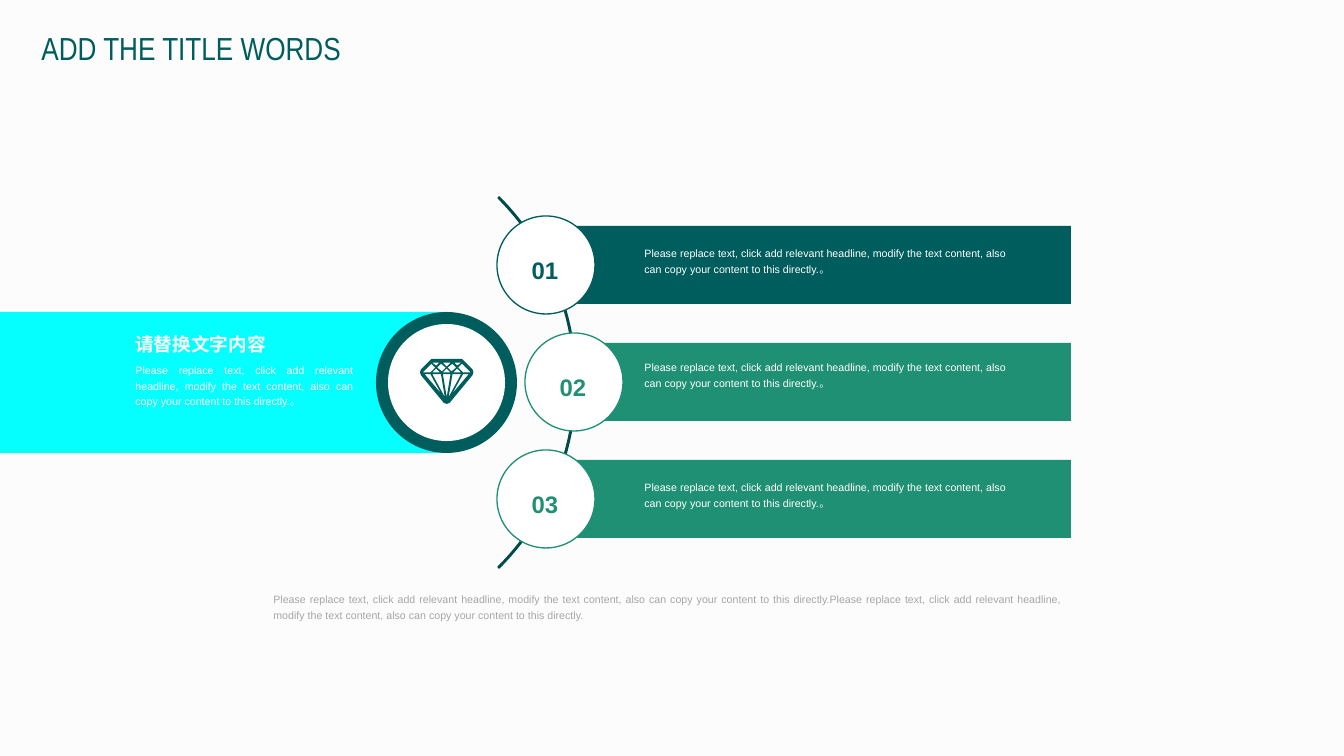
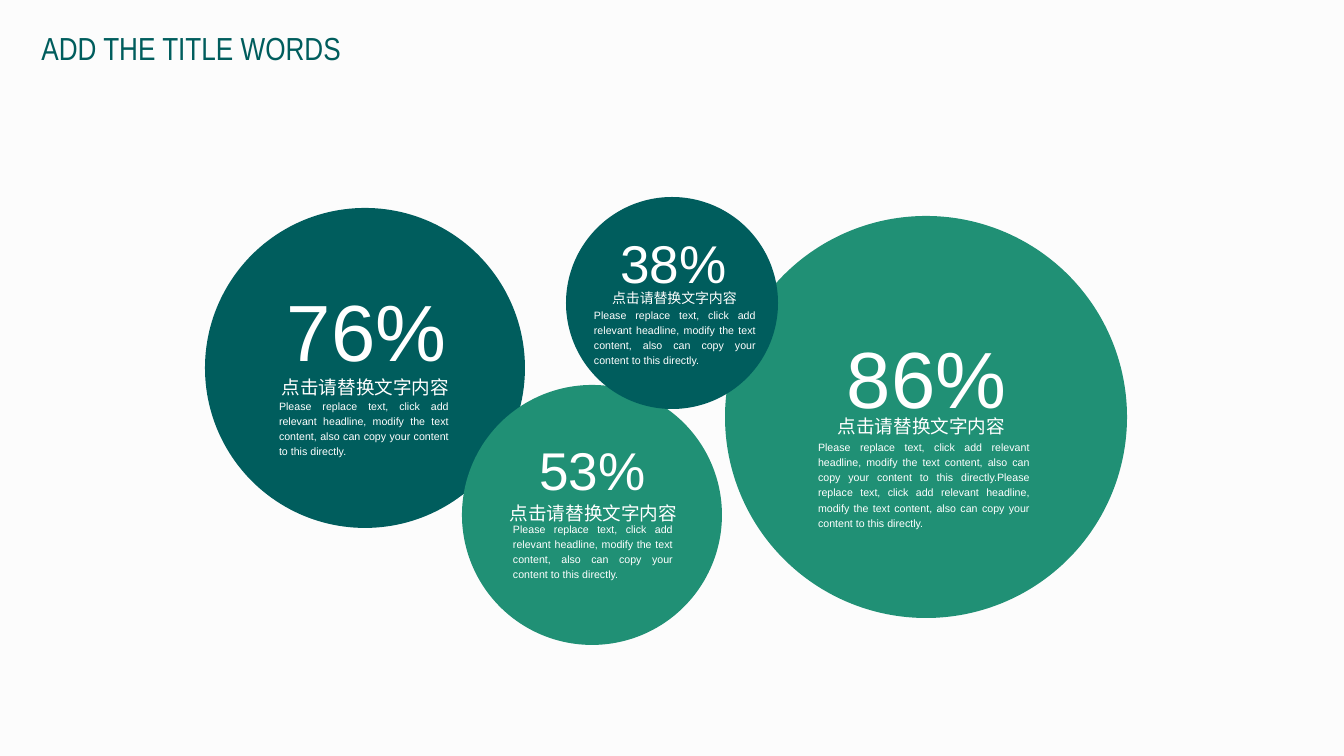
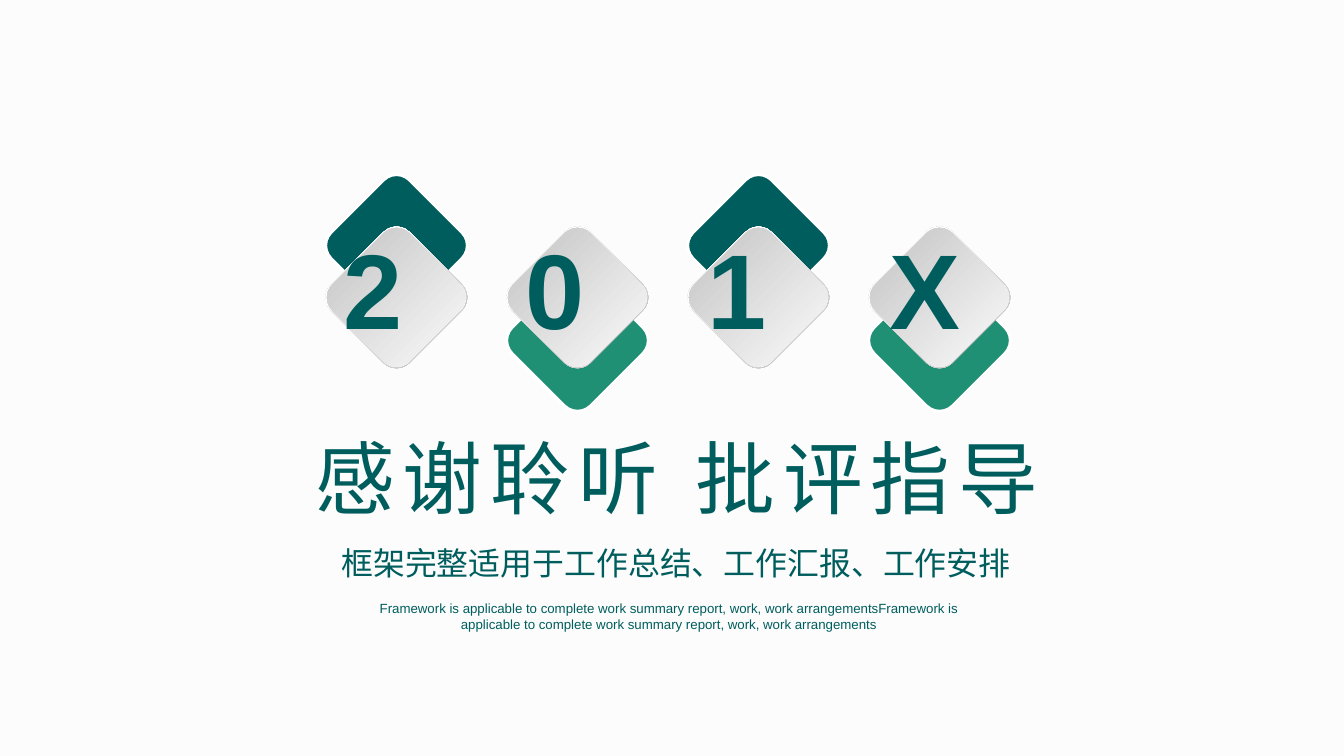
from lxml.etree import SubElement
from pptx import Presentation
from pptx.dml.color import RGBColor
from pptx.enum.shapes import MSO_SHAPE
from pptx.enum.text import MSO_ANCHOR, MSO_AUTO_SIZE, PP_ALIGN
from pptx.oxml.ns import qn
from pptx.util import Pt

PX = 9565
HUNDREDTH_INCH = 9144
TEAL, GREEN, DARK = "005D5D", "209075", "004A4A"
CYAN, WHITE, GREY, SILVER, PAPER = "05FFFF", "FFFFFF", "A6A6A6", "BFBFBF", "FCFCFC"

SENTENCE = ("Please replace text, click add relevant headline, modify the text "
            "content, also can copy your content to this directly.")
BUBBLE_LABEL = "点击请替换文字内容"
FRAMEWORK = ("Framework is applicable to complete work summary report, work, "
             "work arrangements")

LEFT, CENTER, JUSTIFY = PP_ALIGN.LEFT, PP_ALIGN.CENTER, PP_ALIGN.JUSTIFY
TITLE = {"size": 24, "name": "Arial Narrow", "spacing": 1.5}
BODY = {"size": 8, "color": WHITE, "align": JUSTIFY, "spacing": 1.2}
CLOSING = {"align": CENTER, "before": 20}
NO_MARGINS = dict.fromkeys(
    ("margin_left", "margin_top", "margin_right", "margin_bottom"), 0)


def px(*lengths):
    return [round(length * PX) for length in lengths]


def rgb(color):
    return RGBColor.from_string(color)


def set_values(target, values):
    for name, value in values.items():
        setattr(target, name, value)


def paint(shape, fill, line=None, width=1):
    shape.shadow.inherit = False
    if fill:
        shape.fill.solid()
        shape.fill.fore_color.rgb = rgb(fill)
    if line:
        shape.line.color.rgb = rgb(line)
        shape.line.width = Pt(width)
    else:
        shape.line.fill.background()


def add_figure(slide, preset, box, fill=None, line=None, width=1, rotation=0):
    shape = slide.shapes.add_shape(preset, *px(*box))
    shape.rotation = rotation
    paint(shape, fill, line, width)
    return shape


def add_circle(slide, left, top, size, fill, line=None):
    return add_figure(slide, MSO_SHAPE.OVAL, (left, top, size, size), fill, line)


def add_text(slide, box, text, size, color=TEAL, name="Arial", bold=False,
             align=LEFT, spacing=None, before=None, tracking=None, frame=None):
    shape = slide.shapes.add_textbox(*px(*box))
    set_values(shape.text_frame, {"word_wrap": True,
                                  "auto_size": MSO_AUTO_SIZE.SHAPE_TO_FIT_TEXT,
                                  **(frame or {})})
    paragraph = shape.text_frame.paragraphs[0]
    set_values(paragraph, {"alignment": align, "line_spacing": spacing})
    if before:
        space = SubElement(paragraph._p.get_or_add_pPr(), qn("a:spcBef"))
        SubElement(space, qn("a:spcPct")).set("val", str(before * 1000))
    run = paragraph.add_run()
    run.text = text
    set_values(run.font, {"size": Pt(size), "name": name, "bold": bold})
    run.font.color.rgb = rgb(color)
    properties = run._r.get_or_add_rPr()
    SubElement(properties, qn("a:ea")).set("typeface", "Arial")
    if tracking:
        properties.set("spc", str(tracking * 100))
    return shape


def add_title(slide):
    add_text(slide, (32, 5, 338, 60), "ADD THE TITLE WORDS", **TITLE)


def add_gem(slide, left, top):
    outline = [(12, 0), (44, 0), (46, 2), (55, 11), (56, 14), (55, 17), (31, 46),
               (28, 47), (25, 46), (1, 17), (0, 14), (1, 11), (10, 2)]
    left_facets = [
        [(12, 5), (16, 9), (11, 14), (3, 14)],
        [(22, 36), (5, 16), (11, 16)],
        [(22, 16), (26, 40), (13, 16)],
        [(17, 10), (21, 14), (13, 14)],
        [(17, 7), (13, 4), (20, 4)],
        [(23, 13), (18, 9), (22, 5), (27, 9)],
    ]
    middle_facets = [
        [(28, 8), (24, 4), (32, 4)],
        [(32, 16), (28, 40), (24, 16)],
        [(32, 14), (24, 14), (28, 10)],
    ]
    right_facets = [[(56 - x, y) for x, y in facet] for facet in left_facets]
    builder = slide.shapes.build_freeform(*outline[0], scale=HUNDREDTH_INCH)
    builder.add_line_segments(outline[1:], close=True)
    for facet in left_facets + middle_facets + right_facets:
        builder.move_to(*facet[0])
        builder.add_line_segments(facet[1:], close=True)
    paint(builder.convert_to_shape(*px(left, top)), TEAL)


def add_banner(slide):
    add_figure(slide, MSO_SHAPE.RECTANGLE, (0, 312, 444, 141), CYAN)
    add_circle(slide, 376, 312, 141, TEAL)
    add_circle(slide, 388, 324, 117, WHITE)
    add_gem(slide, 420, 359)
    add_text(slide, (126, 324, 151, 36), "请替换文字内容", 14, WHITE, bold=True,
             spacing=1.2, frame={"word_wrap": False})
    add_text(slide, (126, 357, 237, 54), SENTENCE + "。", **BODY)


def add_step(slide, index, circle_left, text_top, color):
    top = 216 + 117 * index
    middle = circle_left + 49
    add_figure(slide, MSO_SHAPE.RECTANGLE, (middle, top + 10, 1071 - middle, 78), color)
    add_circle(slide, circle_left, top, 98, WHITE, color)
    add_text(slide, (circle_left + 25, top + 29, 46, 44), f"{index + 1:02}", 18, color,
             bold=True, align=CENTER, spacing=1.2, frame={"word_wrap": False})
    add_text(slide, (635, text_top, 381, 40), SENTENCE + "。", **BODY)


def add_bubble(slide, circle, color, percent, percent_box, percent_size,
               label_box, label_size, body_box, body):
    add_circle(slide, *circle, color)
    add_text(slide, body_box, body, **BODY, frame=NO_MARGINS)
    for box, text, size in ((percent_box, percent, percent_size),
                            (label_box, BUBBLE_LABEL, label_size)):
        add_text(slide, box, text, size, WHITE, align=CENTER, spacing=1.2,
                 frame={**NO_MARGINS, "word_wrap": False})


def fill_radial(shape, stops):
    shape.fill.gradient()
    for stop, (position, color) in zip(shape.fill.gradient_stops, stops):
        stop.position = position
        stop.color.rgb = rgb(color)
    gradient = shape._element.spPr.find(qn("a:gradFill"))
    for linear in gradient.findall(qn("a:lin")):
        gradient.remove(linear)
    radial = SubElement(gradient, qn("a:path"))
    radial.set("path", "circle")
    focus = SubElement(radial, qn("a:fillToRect"))
    for side in "rb":
        focus.set(side, "100000")


def add_tile(slide, index, letter):
    left = 341 + 181 * index
    back_top, color = ((190, TEAL), (285, GREEN))[index % 2]
    add_figure(slide, MSO_SHAPE.ROUNDED_RECTANGLE, (left, back_top, 111, 111),
               color, WHITE, 2.25, 45)
    for inset, stops in ((0, ((0.29, WHITE), (0.86, SILVER))),
                         (1, ((0, SILVER), (1, WHITE)))):
        size = 111 - 2 * inset
        tile = add_figure(slide, MSO_SHAPE.ROUNDED_RECTANGLE,
                          (left + inset, 242 + inset, size, size), rotation=45)
        fill_radial(tile, stops)
    box = add_text(slide, (332 + 182 * index, 234, 129, 106), letter, 80, bold=True,
                   align=CENTER,
                   frame={**NO_MARGINS, "vertical_anchor": MSO_ANCHOR.MIDDLE})
    box.rotation = 270
    box.text_frame._txBody.bodyPr.set("vert", "eaVert")


def build_steps(slide):
    add_banner(slide)
    arc = add_figure(slide, MSO_SHAPE.BLOCK_ARC, (51, 120, 525, 525), DARK, DARK)
    for index, value in enumerate((189, 27, 0.003)):
        arc.adjustments[index] = value
    steps = ((497, 240, TEAL), (525, 354, GREEN), (497, 474, GREEN))
    for index, step in enumerate(steps):
        add_step(slide, index, *step)
    add_text(slide, (264, 586, 808, 40), SENTENCE * 2, **{**BODY, "color": GREY})
    add_title(slide)


def build_bubbles(slide):
    bubbles = (
        ((725, 216, 402), GREEN, "86%", (846, 310, 161, 105), 60,
         (837, 411, 169, 25), 14, (818, 438, 212, 93), SENTENCE * 2),
        ((205, 208, 320), TEAL, "76%", (286, 263, 161, 116), 60,
         (281, 371, 169, 27), 14, (279, 397, 170, 62), SENTENCE),
        ((462, 385, 260), GREEN, "53%", (539, 425, 107, 77), 40,
         (509, 497, 169, 27), 14, (513, 520, 160, 60), SENTENCE),
        ((566, 197, 212), TEAL, "38%", (620, 218, 107, 77), 40,
         (611, 286, 127, 20), 10.5, (594, 306, 162, 60), SENTENCE),
    )
    for bubble in bubbles:
        add_bubble(slide, *bubble)
    add_title(slide)


def build_closing(slide):
    for index, letter in enumerate("201X"):
        add_tile(slide, index, letter)
    add_text(slide, (283, 424, 788, 106), "感谢聆听 批评指导", 60,
             name="Noto Sans CJK SC", tracking=6, **CLOSING)
    add_text(slide, (311, 539, 730, 48), "框架完整适用于工作总结、工作汇报、工作安排",
             24, **CLOSING)
    add_text(slide, (368, 596, 601, 42), FRAMEWORK * 2, 10, **CLOSING)


def main():
    presentation = Presentation()
    presentation.slide_width, presentation.slide_height = px(1344, 756)
    background = presentation.slide_master.background.fill
    background.solid()
    background.fore_color.rgb = rgb(PAPER)
    for build in (build_steps, build_bubbles, build_closing):
        build(presentation.slides.add_slide(presentation.slide_layouts[6]))
    presentation.save("out.pptx")


if __name__ == "__main__":
    main()
